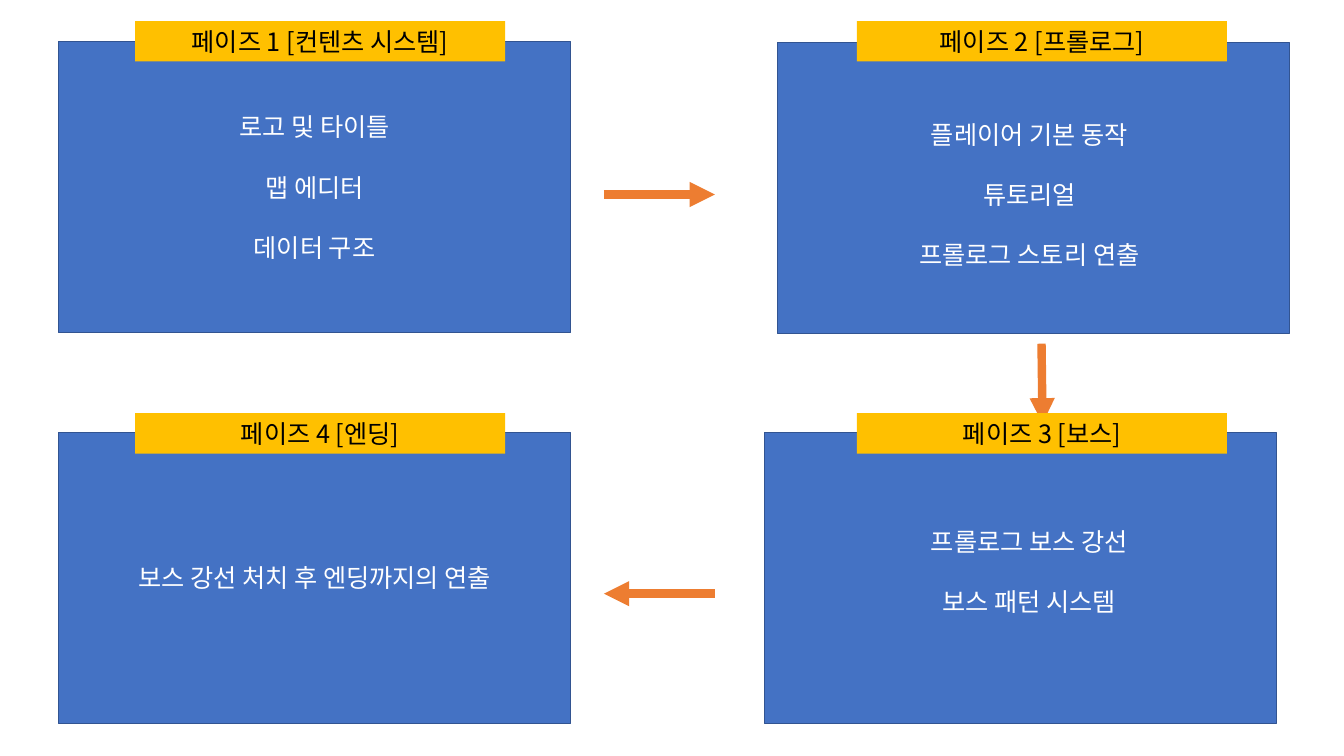
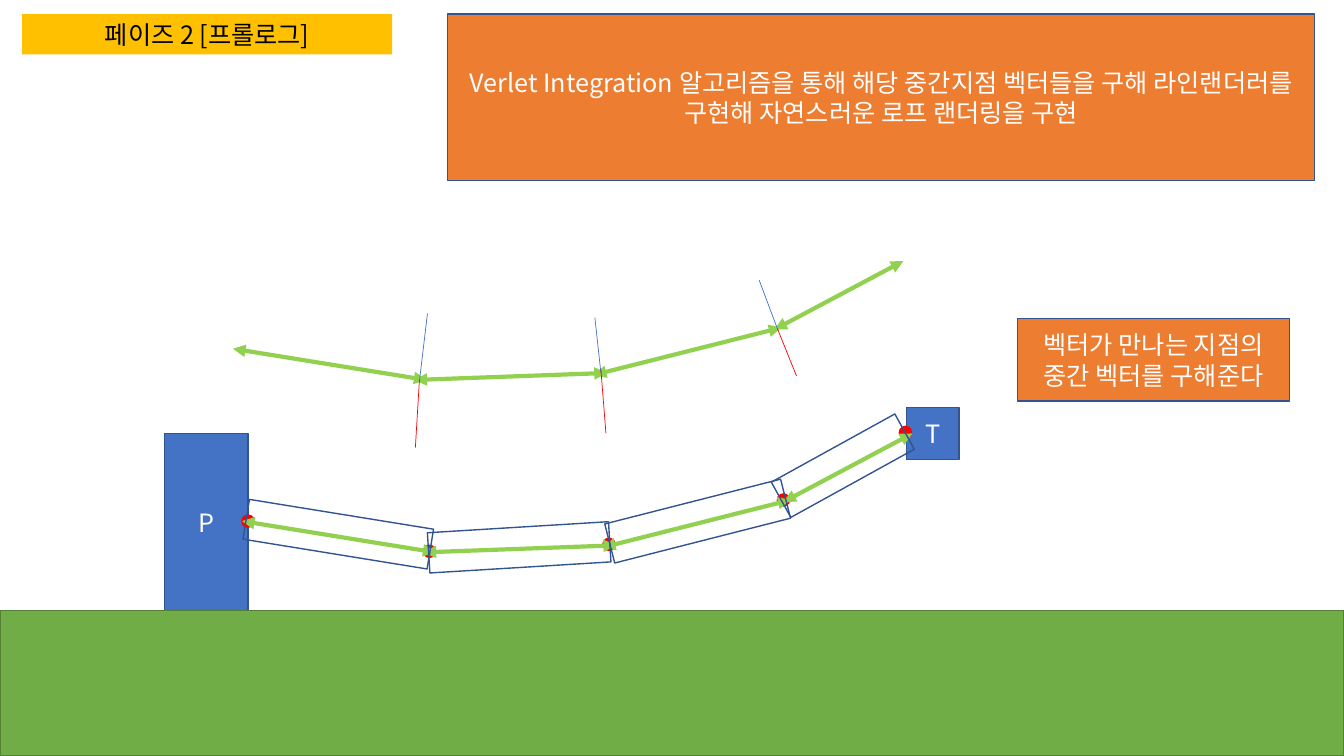
from dataclasses import dataclass

from lxml import etree
from pptx import Presentation
from pptx.dml.color import RGBColor
from pptx.enum.shapes import MSO_CONNECTOR, MSO_SHAPE
from pptx.enum.text import MSO_ANCHOR, PP_ALIGN
from pptx.oxml.ns import qn
from pptx.util import Inches, Pt


@dataclass(frozen=True)
class Theme:
    font: str = "Noto Sans CJK KR"
    size: float = 18
    leading: float = 21.6
    outline_width: float = 1
    blue: str = "4472C4"
    outline: str = "325491"
    orange: str = "ED7D31"
    yellow: str = "FFC000"
    grass: str = "70AD47"
    grass_edge: str = "538035"
    rope: str = "92D050"
    red: str = "FF0000"
    white: str = "FFFFFF"
    black: str = "000000"


class Deck:
    def __init__(self, theme):
        self.theme = theme
        self.prs = Presentation()
        self.prs.slide_width = Inches(13.33)
        self.prs.slide_height = Inches(7.5)
        self.s = None

    def new_slide(self):
        self.s = self.prs.slides.add_slide(self.prs.slide_layouts[6])

    def fill_text(self, sp, lines, color, anchor=MSO_ANCHOR.MIDDLE):
        t = self.theme
        tf = sp.text_frame
        tf.word_wrap = True
        tf.vertical_anchor = anchor
        for i, line in enumerate(lines):
            p = tf.add_paragraph() if i else tf.paragraphs[0]
            p.alignment = PP_ALIGN.CENTER
            p.line_spacing = Pt(t.leading)
            if i:
                p.space_before = Pt(t.leading)
            r = p.add_run()
            r.text = line
            r.font.size = Pt(t.size)
            r.font.color.rgb = RGBColor.from_string(color)
            r.font.name = t.font
            ea = etree.SubElement(r._r.get_or_add_rPr(), qn("a:ea"))
            ea.set("typeface", t.font)

    def shape(self, x, y, w, h, fill=None, line=None, text=None,
              color=None, kind=MSO_SHAPE.RECTANGLE, rotation=0):
        sp = self.s.shapes.add_shape(kind, Inches(x), Inches(y), Inches(w), Inches(h))
        sp.shadow.inherit = False
        sp.rotation = rotation
        if fill:
            sp.fill.solid()
            sp.fill.fore_color.rgb = RGBColor.from_string(fill)
        else:
            sp.fill.background()
        if line:
            sp.line.color.rgb = RGBColor.from_string(line)
            sp.line.width = Pt(self.theme.outline_width)
        else:
            sp.line.fill.background()
        if text:
            self.fill_text(sp, [text], color or self.theme.white)
        return sp

    def block(self, x, y, w, h, text=None):
        return self.shape(x, y, w, h, self.theme.blue, self.theme.outline, text)

    def note(self, x, y, w, h, text):
        return self.shape(x, y, w, h, self.theme.orange, self.theme.outline, text)

    def label(self, x, y, text):
        return self.shape(x, y, 3.67, 0.4, self.theme.yellow, text=text,
                          color=self.theme.black)

    def dot(self, x, y, size=0.12):
        return self.shape(x - size / 2, y - size / 2, size, size, self.theme.red,
                          self.theme.red, kind=MSO_SHAPE.OVAL)

    def text(self, x, y, w, lines):
        h = 0.1 + 0.3 * (2 * len(lines) - 1)
        sp = self.s.shapes.add_textbox(Inches(x), Inches(y), Inches(w), Inches(h))
        self.fill_text(sp, lines, self.theme.white, MSO_ANCHOR.TOP)
        return sp

    def line(self, x1, y1, x2, y2, color, width, heads=()):
        c = self.s.shapes.add_connector(MSO_CONNECTOR.STRAIGHT, Inches(x1), Inches(y1),
                                        Inches(x2), Inches(y2))
        c.line.color.rgb = RGBColor.from_string(color)
        c.line.width = Pt(width)
        ln = c._element.spPr.find(qn("a:ln"))
        for head in heads:
            etree.SubElement(ln, qn(f"a:{head}")).set("type", "triangle")
        etree.SubElement(c._element.spPr, qn("a:effectLst"))
        return c

    def flow_arrow(self, *ends):
        return self.line(*ends, self.theme.orange, 6, ["tailEnd"])

    def vector(self, *ends):
        return self.line(*ends, self.theme.rope, 3, ["headEnd", "tailEnd"])


PHASE_2 = "페이즈 2 [프롤로그]"


def phases_slide(deck):
    deck.new_slide()
    phases = [
        ((0.58, 0.41), (1.34, 0.21), "페이즈 1 [컨텐츠 시스템]",
         (0.87, 1.06), ["로고 및 타이틀", "맵 에디터", "데이터 구조"]),
        ((7.71, 0.42), (8.5, 0.21), PHASE_2,
         (7.96, 1.13), ["플레이어 기본 동작", "튜토리얼", "프롤로그 스토리 연출"]),
        ((7.58, 4.29), (8.5, 4.1), "페이즈 3 [보스]",
         (7.96, 5.17), ["프롤로그 보스 강선", "보스 패턴 시스템"]),
        ((0.58, 4.29), (1.34, 4.1), "페이즈 4 [엔딩]",
         (0.87, 5.53), ["보스 강선 처치 후 엔딩까지의 연출"]),
    ]
    for panel, *_ in phases:
        deck.block(*panel, 5.08, 2.89)
    for ends in [(5.99, 1.93, 7.09, 1.93), (10.33, 3.41, 10.34, 4.2),
                 (7.09, 5.89, 5.99, 5.89)]:
        deck.flow_arrow(*ends)
    for _, label_at, title, text_at, lines in phases:
        deck.label(*label_at, title)
        deck.text(*text_at, 4.5, lines)


def rope_slide(deck):
    t = deck.theme
    deck.new_slide()
    deck.label(0.22, 0.14, PHASE_2)
    deck.block(8.99, 4.04, 0.52, 0.52, "T")
    deck.block(1.63, 4.3, 0.83, 1.76, "P")
    deck.shape(0, 6.06, 13.33, 1.44, t.grass, t.grass_edge)

    for joint in [(2.46, 5.17), (8.98, 4.29), (4.26, 5.47), (6.04, 5.4), (7.77, 4.96)]:
        deck.dot(*joint)
    deck.note(4.44, 0.14, 8.6, 1.65,
              "Verlet Integration 알고리즘을 통해 해당 중간지점 벡터들을 구해 "
              "라인랜더러를 구현해 자연스러운 로프 랜더링을 구현")

    vectors = [(2.4, 5.17, 4.32, 5.48), (4.2, 5.48, 6.11, 5.41),
               (5.98, 5.43, 7.84, 4.96), (7.77, 4.98, 9.05, 4.3)]
    for ends in vectors:
        deck.vector(*ends)
    for x, y, length, angle in [(2.43, 5.1, 1.85, 9.2), (4.25, 5.23, 1.8, 356.5),
                                (6.02, 4.97, 1.8, 345.7), (7.66, 4.42, 1.4, 331.1)]:
        deck.shape(x, y, length, 0.4, line=t.outline, rotation=angle)

    dx, dy = -0.09, -1.71
    for x1, y1, x2, y2 in vectors:
        deck.vector(x1 + dx, y1 + dy, x2 + dx, y2 + dy)

    upper = [(4.16, 3.78, 4.24, 3.11), (5.96, 3.7, 5.9, 3.15), (7.71, 3.26, 7.53, 2.78)]
    lower = [(4.12, 4.44, 4.16, 3.77), (6.01, 4.3, 5.96, 3.67), (7.9, 3.73, 7.71, 3.26)]
    for color, bisectors in [(t.blue, upper), (t.red, lower)]:
        for ends in bisectors:
            deck.line(*ends, color, 0.5)
    deck.note(10.09, 3.16, 2.7, 0.82, "벡터가 만나는 지점의 중간 벡터를 구해준다")


def main():
    deck = Deck(Theme())
    phases_slide(deck)
    rope_slide(deck)
    deck.prs.save("out.pptx")


if __name__ == "__main__":
    main()
